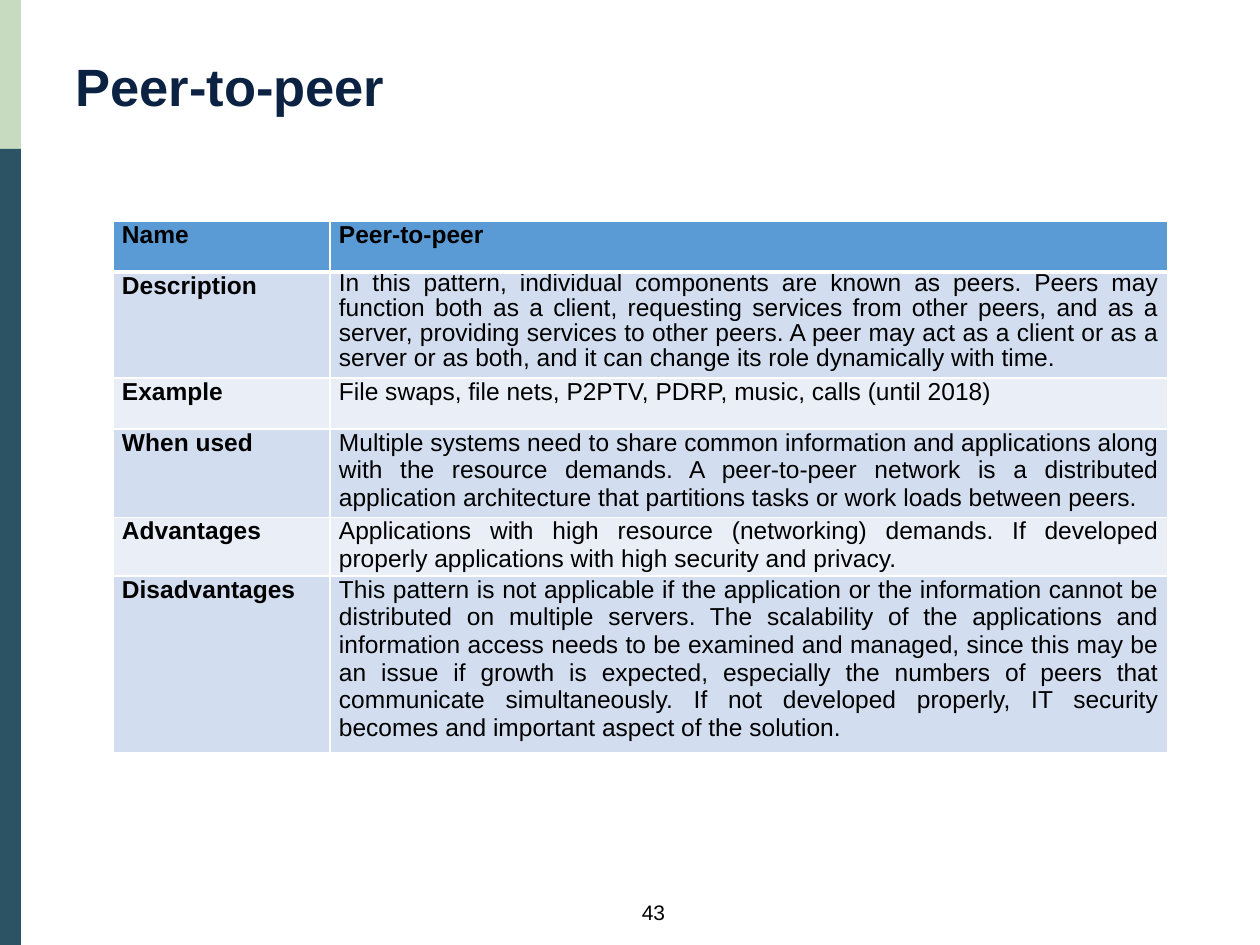
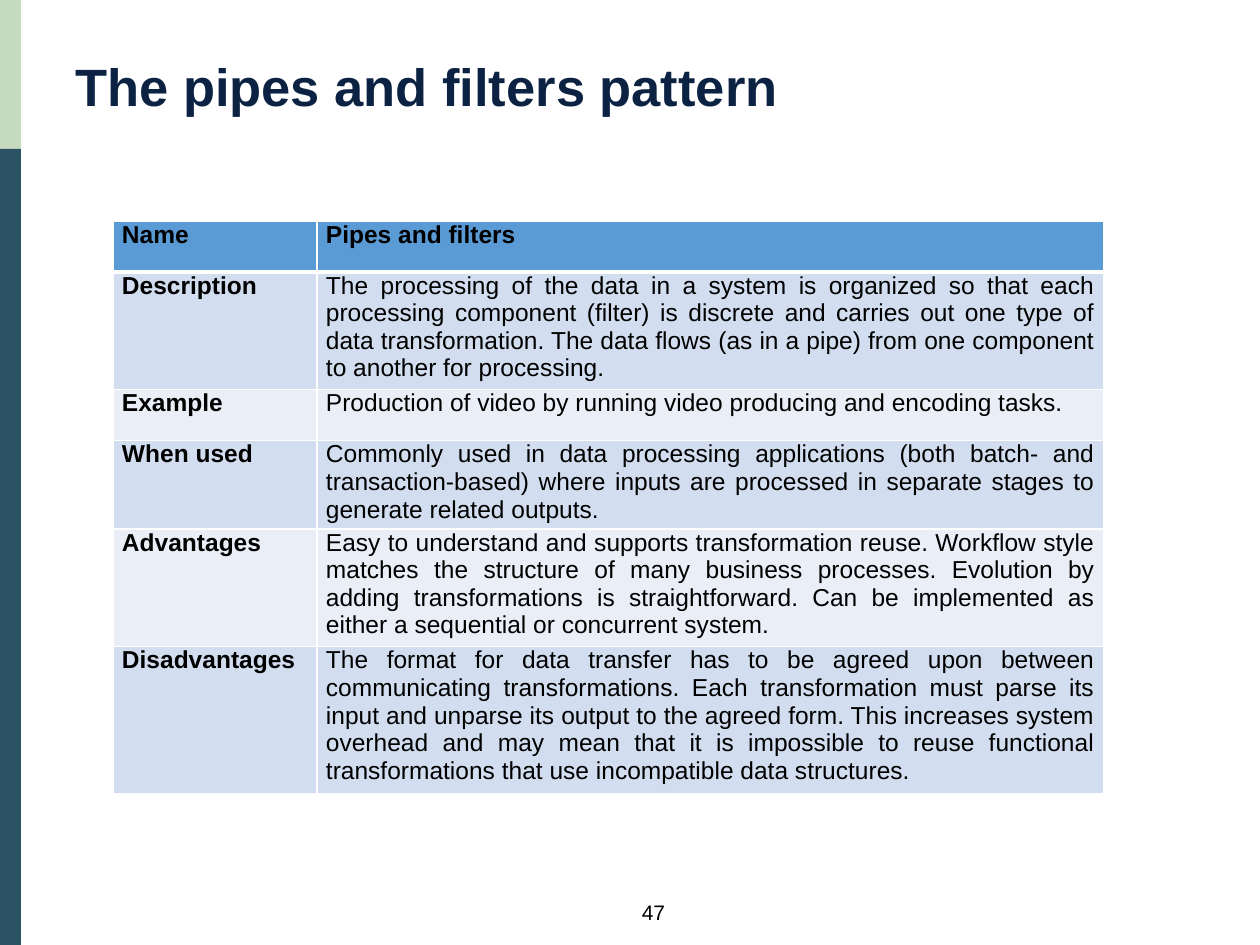
import pptx
import pptx.dml.color
import pptx.enum.shapes
import pptx.enum.text
import pptx.oxml
import pptx.oxml.ns
import pptx.util

SCALE = 914400 / 126
ALIGN = pptx.enum.text.PP_ALIGN

LABELS = ["Name", "Description", "Example", "When used", "Advantages", "Disadvantages"]

PEER = [
    "Peer-to-peer",
    "In this pattern, individual components are known as peers. Peers may function both as a "
    "client, requesting services from other peers, and as a server, providing services to other "
    "peers. A peer may act as a client or as a server or as both, and it can change its role "
    "dynamically with time.",
    "File swaps, file nets, P2PTV, PDRP, music, calls (until 2018)",
    "Multiple systems need to share common information and applications along with the resource "
    "demands. A peer-to-peer network is a distributed application architecture that partitions "
    "tasks or work loads between peers.",
    "Applications with high resource (networking) demands. If developed properly applications "
    "with high security and privacy.",
    "This pattern is not applicable if the application or the information cannot be distributed "
    "on multiple servers. The scalability of the applications and information access needs to be "
    "examined and managed, since this may be an issue if growth is expected, especially the "
    "numbers of peers that communicate simultaneously. If not developed properly, IT security "
    "becomes and important aspect of the solution.",
]

PIPES = [
    "Pipes and filters",
    "The processing of the data in a system is organized so that each processing component "
    "(filter) is discrete and carries out one type of data transformation. The data flows (as in "
    "a pipe) from one component to another for processing.",
    "Production of video by running video producing and encoding tasks.",
    "Commonly used in data processing applications (both batch- and transaction-based) where "
    "inputs are processed in separate stages to generate related outputs.",
    "Easy to understand and supports transformation reuse. Workflow style matches the structure "
    "of many business processes. Evolution by adding transformations is straightforward. Can be "
    "implemented as either a sequential or concurrent system.",
    "The format for data transfer has to be agreed upon between communicating transformations. "
    "Each transformation must parse its input and unparse its output to the agreed form. This "
    "increases system overhead and may mean that it is impossible to reuse functional "
    "transformations that use incompatible data structures.",
]


def px(count):
    return pptx.util.Emu(round(count * SCALE))


def color(code):
    return pptx.dml.color.RGBColor.from_string(code)


def write(frame, text, size=14, bold=False, ink="000000", align=ALIGN.LEFT, lines=None):
    frame.word_wrap = True
    para = frame.paragraphs[0]
    para.alignment = align
    if lines:
        para.line_spacing = lines
    run = para.add_run()
    run.text = text
    font = run.font
    font.name = "Arial"
    font.size = pptx.util.Pt(size)
    font.bold = bold
    font.color.rgb = color(ink)


def edge(cell, side, width):
    """Append a white border; sides must come in the order L, R, T, B."""
    line = pptx.oxml.parse_xml(
        f'<a:ln{side} {pptx.oxml.ns.nsdecls("a")} w="{pptx.util.Pt(width)}">'
        f'<a:solidFill><a:srgbClr val="FFFFFF"/></a:solidFill></a:ln{side}>')
    cell._tc.get_or_add_tcPr().append(line)


class Deck:
    NAVY = "0B2242"
    SAGE = "C7DBC1"
    TEAL = "2C5364"
    HEAD = "5B9BD5"
    BANDS = ["EAEFF7", "D2DEEF"]

    def __init__(self):
        self.show = pptx.Presentation()
        self.show.slide_width = px(1260)
        self.show.slide_height = px(945)
        self.slide = None

    def page(self, title, number):
        self.slide = self.show.slides.add_slide(self.show.slide_layouts[6])
        self.text(557, 893, 193, 38, number, size=12, align=ALIGN.CENTER)
        self.bar(0, 149, self.SAGE)
        self.bar(149, 796, self.TEAL)
        self.text(63, 58, 1053, 86, title, size=30, bold=True, ink=self.NAVY,
                  lines=pptx.util.Pt(30))

    def bar(self, top, height, fill):
        shape = self.slide.shapes.add_shape(
            pptx.enum.shapes.MSO_SHAPE.RECTANGLE, px(0), px(top), px(21), px(height))
        shape.shadow.inherit = False
        shape.fill.solid()
        shape.fill.fore_color.rgb = color(fill)
        shape.line.fill.background()

    def text(self, left, top, width, height, words, **style):
        box = self.slide.shapes.add_textbox(px(left), px(top), px(width), px(height))
        write(box.text_frame, words, **style)

    def table(self, facts, widths, heights, tight=()):
        """Draw labels beside facts; rows listed in tight get closer lines."""
        table = self.slide.shapes.add_table(
            len(facts), 2, px(113), px(221), px(sum(widths)), px(sum(heights))).table
        table.horz_banding = False
        for col, width in zip(table.columns, widths):
            col.width = px(width)
        for index, pair in enumerate(zip(LABELS, facts)):
            table.rows[index].height = px(heights[index])
            head = index == 0
            fill = self.HEAD if head else self.BANDS[index % 2]
            for side, words in enumerate(pair):
                lines = 0.9 if side and index in tight else None
                self.cell(table.cell(index, side), words, fill, head, head or side == 0, lines)

    def cell(self, cell, words, fill, head, bold, lines):
        cell.margin_left = cell.margin_right = px(9)
        cell.margin_top = cell.margin_bottom = 0
        for side in "LRTB":
            edge(cell, side, 3 if head and side == "B" else 1)
        cell.fill.solid()
        cell.fill.fore_color.rgb = color(fill)
        write(cell.text_frame, words, bold=bold, align=ALIGN.JUSTIFY, lines=lines)


def main():
    deck = Deck()
    deck.page("Peer-to-peer", "43")
    deck.table(PEER, [217, 838], [51, 51, 51, 51, 56, 51], tight=[1])
    deck.page("The pipes and filters pattern", "47")
    deck.table(PIPES, [204, 787], [51] * len(PIPES))
    deck.show.save("out.pptx")


if __name__ == "__main__":
    main()
